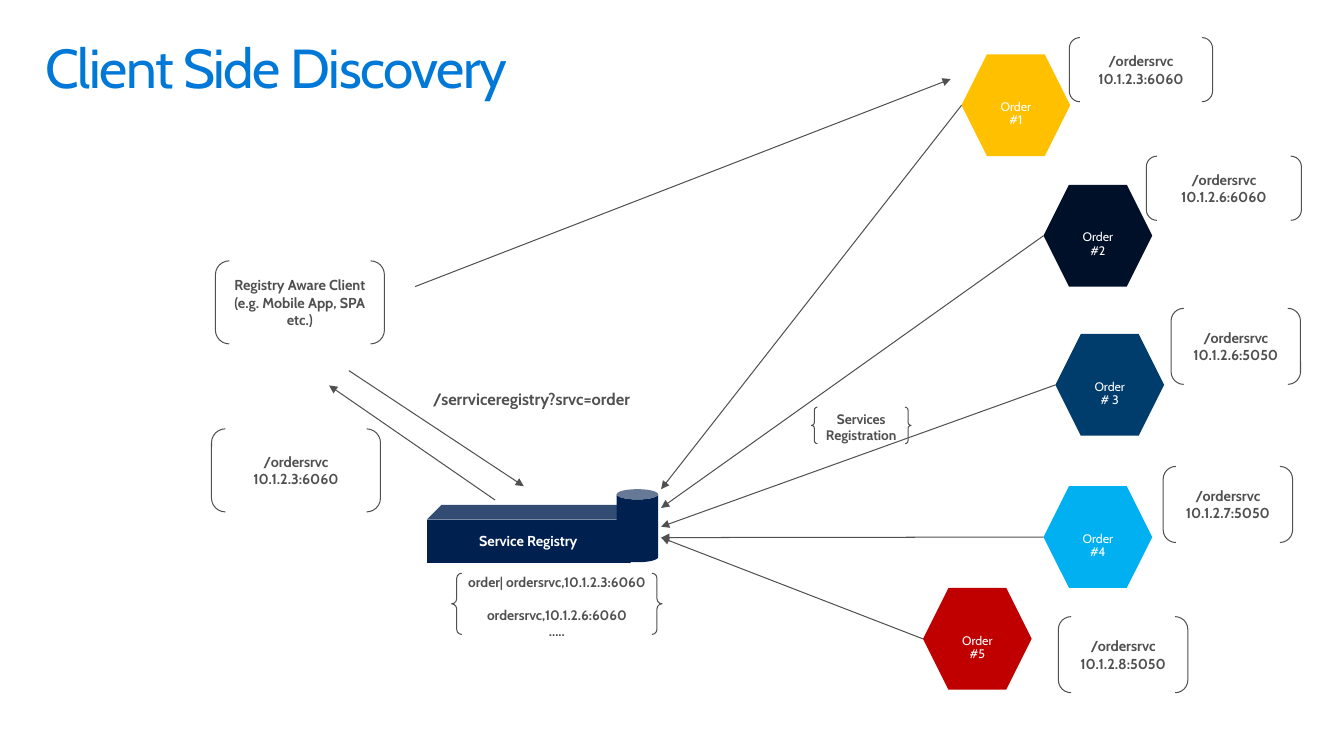
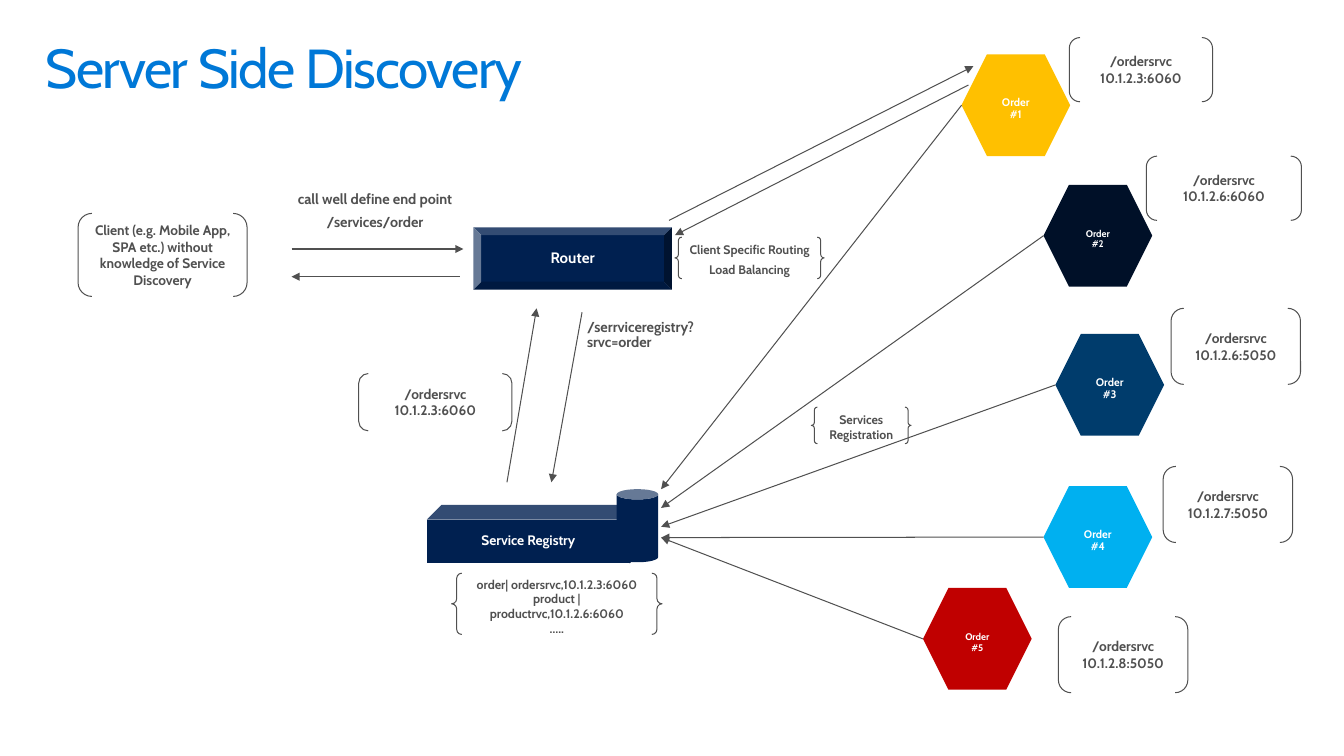
from dataclasses import dataclass

from lxml.etree import SubElement
from pptx import Presentation
from pptx.dml.color import RGBColor
from pptx.enum.shapes import MSO_CONNECTOR, MSO_SHAPE
from pptx.enum.text import MSO_ANCHOR, PP_ALIGN
from pptx.oxml.ns import qn
from pptx.util import Inches, Pt

FONT = "Cabin"
COLORS = {
    "title": "0078D7",
    "ink": "505050",
    "white": "FFFFFF",
    "registry": "002050",
    "order1": "FFC000",
    "order2": "001028",
    "order3": "003C6C",
    "order4": "00B0F0",
    "order5": "C00000",
}
LINE_WIDTH = Pt(0.75)
HEXAGON_WIDTH, HEXAGON_HEIGHT = 1.1, 1.03
REGISTRY_SIDE = 6.69


@dataclass
class OrderService:
    color: str
    left: float
    top: float
    registration_y: float
    address: str
    address_box: tuple


ORDERS = [
    OrderService("order1", 9.73, 0.55, 4.95, "10.1.2.3:6060", (10.82, 0.38, 1.45, 0.65)),
    OrderService("order2", 10.56, 1.87, 5.14, "10.1.2.6:6060", (11.6, 1.58, 1.57, 0.65)),
    OrderService("order3", 10.68, 3.38, 5.33, "10.1.2.6:5050", (11.85, 3.12, 1.31, 0.77)),
    OrderService("order4", 10.56, 4.92, 5.44, "10.1.2.7:5050", (11.77, 4.72, 1.31, 0.77)),
    OrderService("order5", 9.34, 5.95, 5.44, "10.1.2.8:5050", (10.71, 6.24, 1.31, 0.77)),
]


def rgb(name):
    return RGBColor.from_string(COLORS[name])


def write_text(shape, lines, size, color="ink", bold=True, align=PP_ALIGN.CENTER,
               anchor=MSO_ANCHOR.MIDDLE, margins=(0.1, 0.05, 0.1, 0.05),
               line_spacing=1.0, gaps=None, tracking=None):
    """Fill a shape with one paragraph a line; gaps maps a line index to points before it."""
    frame = shape.text_frame
    frame.word_wrap = True
    frame.vertical_anchor = anchor
    (frame.margin_left, frame.margin_top,
     frame.margin_right, frame.margin_bottom) = map(Inches, margins)
    for index, line in enumerate(lines):
        paragraph = frame.paragraphs[0] if index == 0 else frame.add_paragraph()
        paragraph.alignment = align
        paragraph.line_spacing = line_spacing
        if gaps and index in gaps:
            paragraph.space_before = Pt(gaps[index])
        run = paragraph.add_run()
        run.text = line
        run.font.name = FONT
        run.font.size = Pt(size)
        run.font.bold = bold
        run.font.color.rgb = rgb(color)
        if tracking is not None:
            run.font._element.set("spc", str(int(tracking * 100)))


def add_label(slide, box, lines, size, **text_format):
    label = slide.shapes.add_textbox(*map(Inches, box))
    text_format = {"align": PP_ALIGN.LEFT, "anchor": MSO_ANCHOR.TOP,
                   "margins": (0.2, 0.16, 0.2, 0.16), "line_spacing": 0.9} | text_format
    write_text(label, lines, size, **text_format)


def add_solid(slide, kind, box, color):
    shape = slide.shapes.add_shape(kind, *map(Inches, box))
    shape.shadow.inherit = False
    shape.fill.solid()
    shape.fill.fore_color.rgb = rgb(color)
    shape.line.fill.background()
    return shape


def add_enclosed(slide, kind, box, lines, size, **text_format):
    """Add text between a pair of outlined brackets or braces."""
    shape = slide.shapes.add_shape(kind, *map(Inches, box))
    shape.shadow.inherit = False
    shape.fill.background()
    shape.line.color.rgb = rgb("ink")
    shape.line.width = LINE_WIDTH
    write_text(shape, lines, size, **text_format)


def add_brackets(slide, box, lines, size):
    add_enclosed(slide, MSO_SHAPE.DOUBLE_BRACKET, box, lines, size)


def add_braces(slide, box, lines, size, **text_format):
    add_enclosed(slide, MSO_SHAPE.DOUBLE_BRACE, box, lines, size, **text_format)


def add_arrow(slide, start, end):
    arrow = slide.shapes.add_connector(MSO_CONNECTOR.STRAIGHT, *map(Inches, start + end))
    arrow.line.color.rgb = rgb("ink")
    arrow.line.width = LINE_WIDTH
    SubElement(arrow.line._get_or_add_ln(), qn("a:tailEnd"), type="triangle")
    SubElement(arrow._element.spPr, qn("a:effectLst"))


def add_titled_slide(presentation, title):
    slide = presentation.slides.add_slide(presentation.slide_layouts[6])
    add_label(slide, (0.3, 0.32, 13, 1), [title], 40, color="title", bold=False,
              margins=(0.16, 0.1, 0.16, 0.1), tracking=-1)
    return slide


def add_orders(slide, numbers, sizes, bold, text_drop, address_size):
    """Add the order services, their addresses and their registration arrows."""
    for order, number, size in zip(ORDERS, numbers, sizes):
        hexagon = add_solid(slide, MSO_SHAPE.HEXAGON,
                            (order.left, order.top, HEXAGON_WIDTH, HEXAGON_HEIGHT), order.color)
        write_text(hexagon, ["Order", number], size, color="white", bold=bold,
                   margins=(0, text_drop, 0, 0), line_spacing=0.9)
        add_arrow(slide, (order.left, order.top + HEXAGON_HEIGHT / 2),
                  (REGISTRY_SIDE, order.registration_y))
        add_brackets(slide, order.address_box, ["/ordersrvc", order.address], address_size)


def add_registry(slide, entries, name_size, note_size, gaps=None):
    cube = add_solid(slide, MSO_SHAPE.CUBE, (4.32, 5.11, 2.2, 0.59), "registry")
    write_text(cube, ["Service Registry"], name_size, color="white",
               margins=(0, 0, 0, 0), line_spacing=0.9)
    add_solid(slide, MSO_SHAPE.CAN, (6.24, 4.95, 0.42, 0.74), "registry")
    add_braces(slide, (4.57, 5.8, 2.13, 0.62), entries, note_size, gaps=gaps)
    add_braces(slide, (8.21, 4.12, 1.01, 0.37), ["Services", "Registration"], note_size)


def build_client_side(presentation):
    slide = add_titled_slide(presentation, "Client Side Discovery")
    add_brackets(slide, (2.18, 2.64, 1.71, 0.84),
                 ["Registry Aware Client (e.g. Mobile App, SPA etc.)"], 10.5)
    add_label(slide, (4.18, 3.87, 2.47, 0.5), ["/serrviceregistry?srvc=order"], 12)
    add_brackets(slide, (2.14, 4.34, 1.71, 0.84), ["/ordersrvc", "10.1.2.3:6060"], 10.5)
    add_arrow(slide, (3.53, 3.75), (5.3, 4.92))
    add_arrow(slide, (5.01, 5.06), (3.33, 3.9))
    add_arrow(slide, (4.2, 2.9), (9.62, 0.8))
    add_orders(slide, ["#1", "#2", "# 3", "#4", "#5"], [9] * 5, bold=False,
               text_drop=0.18, address_size=10.5)
    add_registry(slide, ["order| ordersrvc,10.1.2.3:6060", "ordersrvc,10.1.2.6:6060", "….."],
                 name_size=10.5, note_size=10, gaps={1: 12})


def build_server_side(presentation):
    slide = add_titled_slide(presentation, "Server Side Discovery")
    add_brackets(slide, (0.79, 2.16, 1.71, 0.84),
                 ["Client (e.g. Mobile App, SPA etc.) without knowledge of Service Discovery"], 10)
    add_label(slide, (2.74, 1.78, 2.11, 0.73),
              ["call well define end point", "/services/order"], 10.5,
              align=PP_ALIGN.CENTER, gaps={1: 6})
    add_arrow(slide, (2.95, 2.52), (4.69, 2.52))
    add_arrow(slide, (4.65, 2.8), (2.95, 2.8))

    router = add_solid(slide, MSO_SHAPE.BEVEL, (4.79, 2.3, 2.01, 0.63), "registry")
    write_text(router, ["Router"], 11, color="white", margins=(0, 0, 0, 0), line_spacing=0.9)
    add_braces(slide, (6.83, 2.4, 1.51, 0.42),
               ["Client Specific Routing", "Load Balancing"], 9, gaps={1: 4})
    add_arrow(slide, (6.77, 2.23), (9.85, 0.67))
    add_arrow(slide, (9.8, 0.86), (6.83, 2.38))

    add_arrow(slide, (5.13, 4.88), (5.43, 3.12))
    add_brackets(slide, (3.63, 3.78, 1.55, 0.58), ["/ordersrvc", "10.1.2.3:6060"], 10)
    add_arrow(slide, (5.89, 3.16), (5.58, 4.88))
    add_label(slide, (5.74, 3.08, 2.11, 0.64), ["/serrviceregistry?srvc=order"], 10.5)

    add_orders(slide, ["#1", "#2", "#3", "#4", "#5"], [8, 7, 8, 8, 7], bold=True,
               text_drop=0.08, address_size=10)
    add_registry(slide,
                 ["order| ordersrvc,10.1.2.3:6060", "product |productrvc,10.1.2.6:6060", "….."],
                 name_size=10, note_size=9)


def main():
    presentation = Presentation()
    presentation.slide_width = Inches(13.6)
    presentation.slide_height = Inches(7.65)
    build_client_side(presentation)
    build_server_side(presentation)
    presentation.save("out.pptx")


if __name__ == "__main__":
    main()
